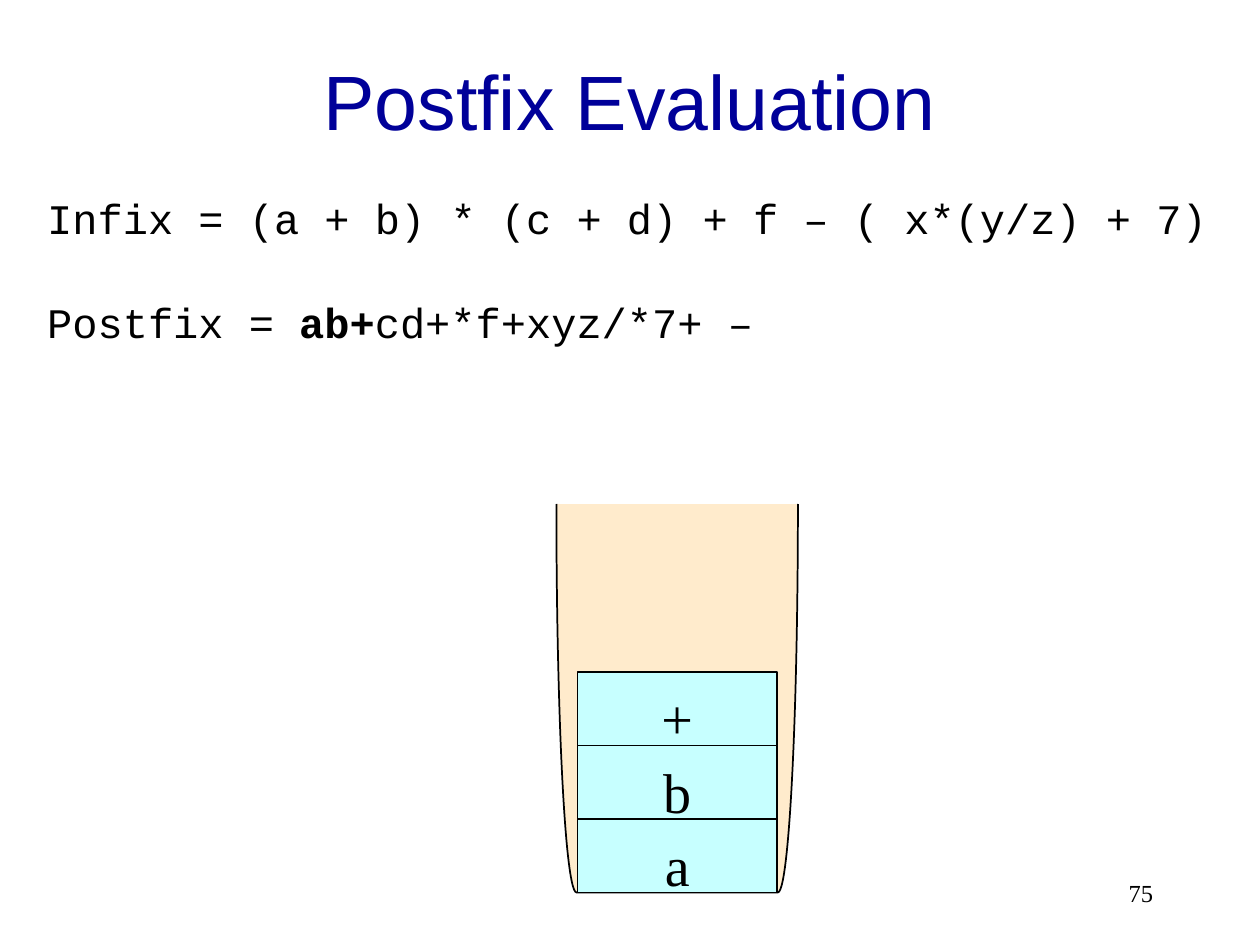
from pptx import Presentation
from pptx.dml.color import RGBColor
from pptx.enum.shapes import MSO_SHAPE
from pptx.enum.text import MSO_ANCHOR, PP_ALIGN
from pptx.util import Pt

PX = 9525
RECTANGLE = MSO_SHAPE.RECTANGLE
BRACKET = MSO_SHAPE.LEFT_BRACKET
TOP, MIDDLE = MSO_ANCHOR.TOP, MSO_ANCHOR.MIDDLE
LEFT, CENTER, RIGHT = PP_ALIGN.LEFT, PP_ALIGN.CENTER, PP_ALIGN.RIGHT
COLORS = {"title": "000099", "ink": "000000", "stack": "FFEBCC", "cell": "C7FFFF"}


def add_run(paragraph, text, font, size, color="ink", bold=False):
    run = paragraph.add_run()
    run.text = text
    run.font.name = font
    run.font.size = Pt(size)
    run.font.bold = bold
    run.font.color.rgb = RGBColor.from_string(COLORS[color])


def add_box(kind, left, top, width, height, fill):
    shape = slide.shapes.add_shape(kind, left * PX, top * PX, width * PX, height * PX)
    shape.shadow.inherit = False
    shape.fill.solid()
    shape.fill.fore_color.rgb = RGBColor.from_string(COLORS[fill])
    shape.line.color.rgb = RGBColor.from_string(COLORS["ink"])
    shape.line.width = Pt(1)
    return shape


presentation = Presentation()
presentation.slide_width = 960 * PX
presentation.slide_height = 720 * PX
slide = presentation.slides.add_slide(presentation.slide_layouts[5])

title = slide.shapes.title
title.left, title.top, title.width, title.height = 72 * PX, 16 * PX, 816 * PX, 120 * PX
title.text_frame.vertical_anchor = MIDDLE
title.text_frame.paragraphs[0].alignment = CENTER
add_run(title.text_frame.paragraphs[0], "Postfix Evaluation", "Arial", 44, "title")

page_number = slide.shapes.add_textbox(688 * PX, 656 * PX, 200 * PX, 48 * PX)
page_number.text_frame.word_wrap = True
page_number.text_frame.vertical_anchor = MIDDLE
page_number.text_frame.paragraphs[0].alignment = RIGHT
add_run(page_number.text_frame.paragraphs[0], "75", "Times New Roman", 14)

expressions = slide.shapes.add_textbox(20 * PX, 136 * PX, 920 * PX, 126 * PX)
frame = expressions.text_frame
frame.word_wrap = True
frame.margin_left = 16 * PX
frame.margin_top = 11 * PX
infix = frame.paragraphs[0]
infix.alignment = LEFT
add_run(infix, "Infix = (a + b) * (c + d) + f – ( x*(y/z) + 7)", "Courier New", 24)
postfix = frame.add_paragraph()
postfix.alignment = LEFT
postfix.space_before = Pt(30.5)
for text, bold in [("Postfix = ", False), ("ab+", True), ("cd+*f+xyz/*7+ –", False)]:
    add_run(postfix, text, "Courier New", 24, bold=bold)

stack = add_box(BRACKET, 368, 440, 296, 184, "stack")
stack.rotation = 270

CELL_HEIGHT = 56
for level, symbol in enumerate(["a", "b", "+"]):
    cell = add_box(RECTANGLE, 440, 624 - level * CELL_HEIGHT, 152, CELL_HEIGHT, "cell")
    cell.text_frame.vertical_anchor = TOP
    cell.text_frame.margin_top = 9 * PX
    cell.text_frame.margin_bottom = 0
    cell.text_frame.paragraphs[0].alignment = CENTER
    add_run(cell.text_frame.paragraphs[0], symbol, "Times New Roman", 32)

presentation.save("out.pptx")
